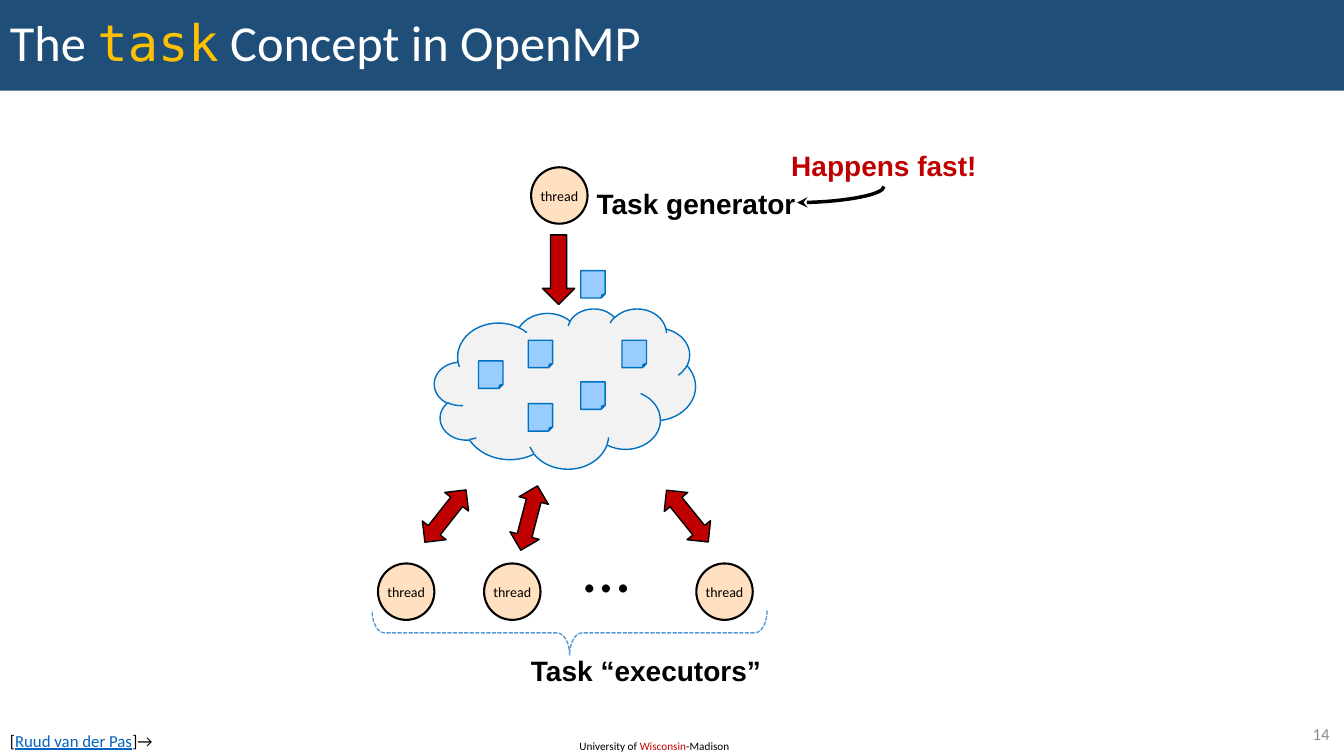
from dataclasses import dataclass

from lxml import etree
from pptx import Presentation
from pptx.dml.color import RGBColor
from pptx.enum.dml import MSO_LINE
from pptx.enum.shapes import MSO_CONNECTOR, MSO_SHAPE
from pptx.enum.text import MSO_ANCHOR, PP_ALIGN
from pptx.oxml.ns import qn
from pptx.util import Pt

CLOUD, NOTE, OVAL = MSO_SHAPE.CLOUD, MSO_SHAPE.FOLDED_CORNER, MSO_SHAPE.OVAL
DOWN, UP_DOWN = MSO_SHAPE.DOWN_ARROW, MSO_SHAPE.UP_DOWN_ARROW
RECT, BRACE = MSO_SHAPE.RECTANGLE, MSO_SHAPE.RIGHT_BRACE
LEFT, CENTER, RIGHT = PP_ALIGN.LEFT, PP_ALIGN.CENTER, PP_ALIGN.RIGHT
TOP, MIDDLE = MSO_ANCHOR.TOP, MSO_ANCHOR.MIDDLE


@dataclass(frozen=True)
class Theme:
    body: str = "Calibri"
    label: str = "Arial"
    code: str = "DejaVu Sans Mono"
    title_size: float = 36
    dots_size: float = 48
    label_size: float = 20
    note_size: float = 12
    thread_size: float = 10
    footer_size: float = 8
    black: str = "000000"
    white: str = "FFFFFF"
    bar: str = "1F4E79"
    gold: str = "FFC000"
    red: str = "C00000"
    gray: str = "8C8C8C"
    link: str = "0563C1"
    peach: str = "FFE0C1"
    cloud: str = "F2F2F2"
    task: str = "99CCFF"
    outline: str = "0070C0"
    brace: str = "5B9BD5"


T = Theme()
THREAD = 40.3
TASK_W, TASK_H = 17.5, 19.6


def rgb(color):
    return RGBColor.from_string(color)


def add_shape(s, kind, box, fill=None, line=None, width=1, rotation=0):
    sp = s.shapes.add_shape(kind, *map(Pt, box))
    sp.shadow.inherit = False
    sp.rotation = rotation
    if fill:
        sp.fill.solid()
        sp.fill.fore_color.rgb = rgb(fill)
    else:
        sp.fill.background()
    if line:
        sp.line.color.rgb = rgb(line)
        sp.line.width = Pt(width)
    else:
        sp.line.fill.background()
    return sp


def write(sp, runs, size, font=T.body, bold=False, align=LEFT, anchor=TOP, wrap=True):
    """Fill a shape with one paragraph of (text, colour) runs; return the paragraph."""
    tf = sp.text_frame
    tf.word_wrap = wrap
    tf.vertical_anchor = anchor
    p = tf.paragraphs[0]
    p.alignment = align
    p.font.size, p.font.name, p.font.bold = Pt(size), font, bold
    for text, color in runs:
        r = p.add_run()
        r.text = text
        r.font.color.rgb = rgb(color)
    return p


def add_text(s, box, runs, size, **style):
    return write(s.shapes.add_textbox(*map(Pt, box)), runs, size, **style)


def add_label(s, box, text, color=T.black):
    add_text(s, box, [(text, color)], T.label_size, font=T.label, bold=True,
             align=CENTER, wrap=False)


def add_thread(s, x, y):
    sp = add_shape(s, OVAL, (x, y, THREAD, THREAD), T.peach, T.black, 1.5)
    sp.text_frame.margin_left = sp.text_frame.margin_right = 0
    write(sp, [("thread", T.black)], T.thread_size, align=CENTER, anchor=MIDDLE)


def add_task(s, x, y):
    add_shape(s, NOTE, (x, y, TASK_W, TASK_H), T.task, T.outline)


def add_title(s, box):
    sp = add_shape(s, RECT, box, T.bar)
    p = write(sp, [("The ", T.white), ("task", T.gold), (" Concept in OpenMP", T.white)],
              T.title_size, anchor=MIDDLE)
    p.line_spacing = 0.9
    p.runs[1].font.name = T.code


def add_curved_arrow(s, x, y, w, h):
    """Arrow that leaves the box's top right downwards and ends at its bottom left."""
    cx, cy = x + w / 2, y + h / 2
    c = s.shapes.add_connector(MSO_CONNECTOR.CURVE, Pt(cx - h / 2), Pt(cy - w / 2),
                               Pt(cx + h / 2), Pt(cy + w / 2))
    c.line.color.rgb = rgb(T.black)
    c.line.width = Pt(2.5)
    spPr = c._element.spPr
    spPr.find(qn("a:xfrm")).set("rot", str(90 * 60000))
    spPr.find(qn("a:prstGeom")).set("prst", "curvedConnector2")
    etree.SubElement(c.line._get_or_add_ln(), qn("a:tailEnd"), type="stealth")
    etree.SubElement(spPr, qn("a:effectLst"))


def add_generator(s, x, y):
    add_thread(s, x, y)
    add_shape(s, DOWN, (x + 8.1, y + 48.3, 23, 49.7), T.red, T.black)
    add_label(s, (x + 39, y + 10.1, 157.7, 31.7), "Task generator")
    add_label(s, (x + 177.9, y - 17.3, 148.3, 31.7), "Happens fast!", T.red)
    add_curved_arrow(s, x + 190, y + 13.7, 62, 11.5)


def add_task_pool(s, x, y, w, h):
    add_shape(s, CLOUD, (x, y, w, h), T.cloud, T.outline)
    for dx, dy in ((31.5, 37.5), (67, 22.7), (134, 22.7), (104.5, 52.5), (67, 68), (104.5, -27)):
        add_task(s, x + dx, y + dy)


def add_executors(s, x, y, pitch):
    for column in (0, 1, 3):
        add_thread(s, x + column * pitch, y)
    add_text(s, (x + 139.7, y - 31, 47.5, 65.5), [("…", T.black)], T.dots_size, wrap=False)
    for dx, dy, angle in ((37.4, -57.6, 38.2), (97.2, -56.2, 14.6), (210.2, -57.6, -38.9)):
        add_shape(s, UP_DOWN, (x + dx, y + dy, 21.6, 47.5), T.red, T.black, rotation=angle)
    brace = add_shape(s, BRACE, (x + 121, y - 91.5, 31.7, 282.2), line=T.brace, rotation=90)
    brace.adjustments[0] = 0.28
    brace.line.dash_style = MSO_LINE.SQUARE_DOT
    add_label(s, (x + 101.5, y + 60.5, 180, 31.7), "Task “executors”")


def add_footer(s, x, y, w):
    p = add_text(s, (x, y + 5, 130.3, 21.6),
                 [("[", T.black), ("Ruud van der Pas", T.link), ("]→", T.black)], T.note_size)
    p.runs[1].font.underline = True
    add_text(s, (x + 406.8, y + 10.8, 123.8, 17.3),
             [("University of ", T.black), ("Wisconsin", T.red), ("-Madison", T.black)],
             T.footer_size)
    add_text(s, (x + w - 57.8, y, 54.7, 20.9), [("14", T.gray)], T.note_size,
             align=RIGHT, anchor=MIDDLE)


def main():
    prs = Presentation()
    prs.slide_width, prs.slide_height = Pt(960), Pt(540)
    s = prs.slides.add_slide(prs.slide_layouts[6])
    add_title(s, (0, 0, 960, 64.8))
    add_generator(s, 379.4, 119.5)
    add_task_pool(s, 310.3, 220.3, 186.5, 114.5)
    add_executors(s, 270, 402.5, 75.8)
    add_footer(s, 0, 513.4, 960)
    prs.save("out.pptx")


if __name__ == "__main__":
    main()
